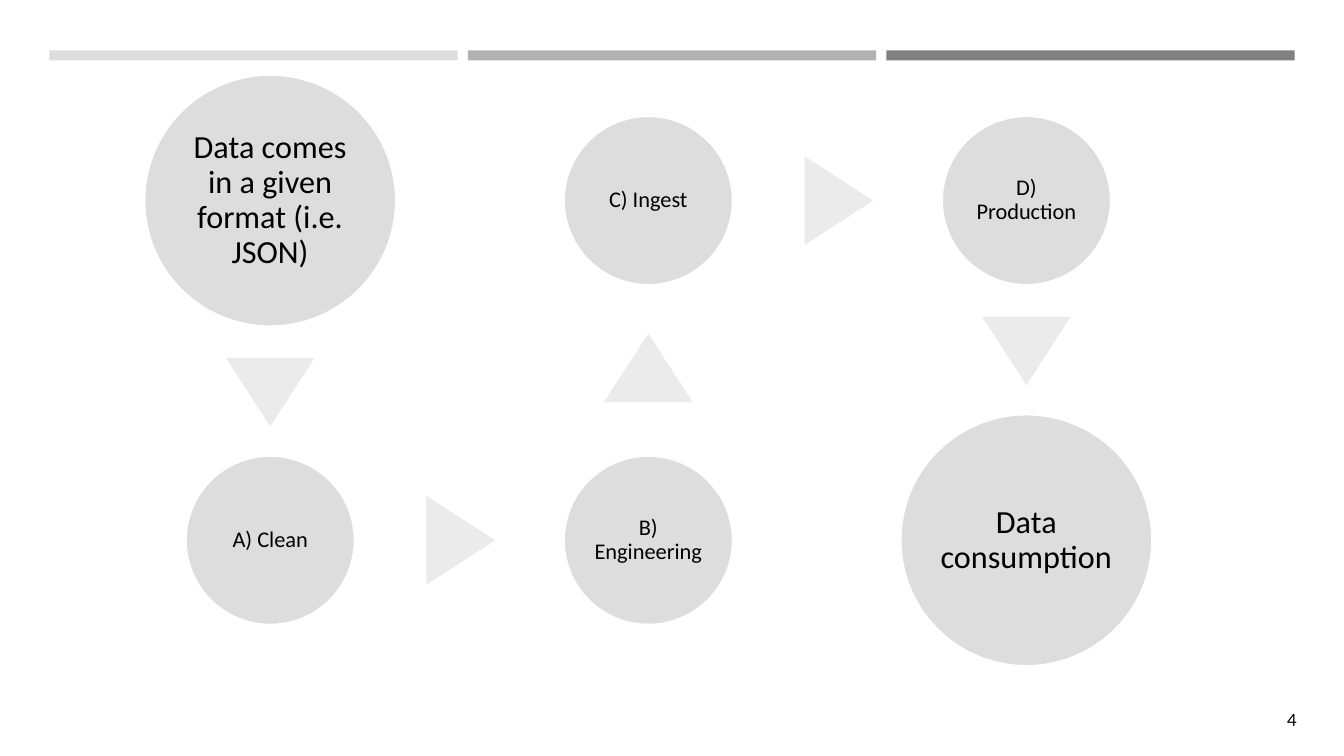
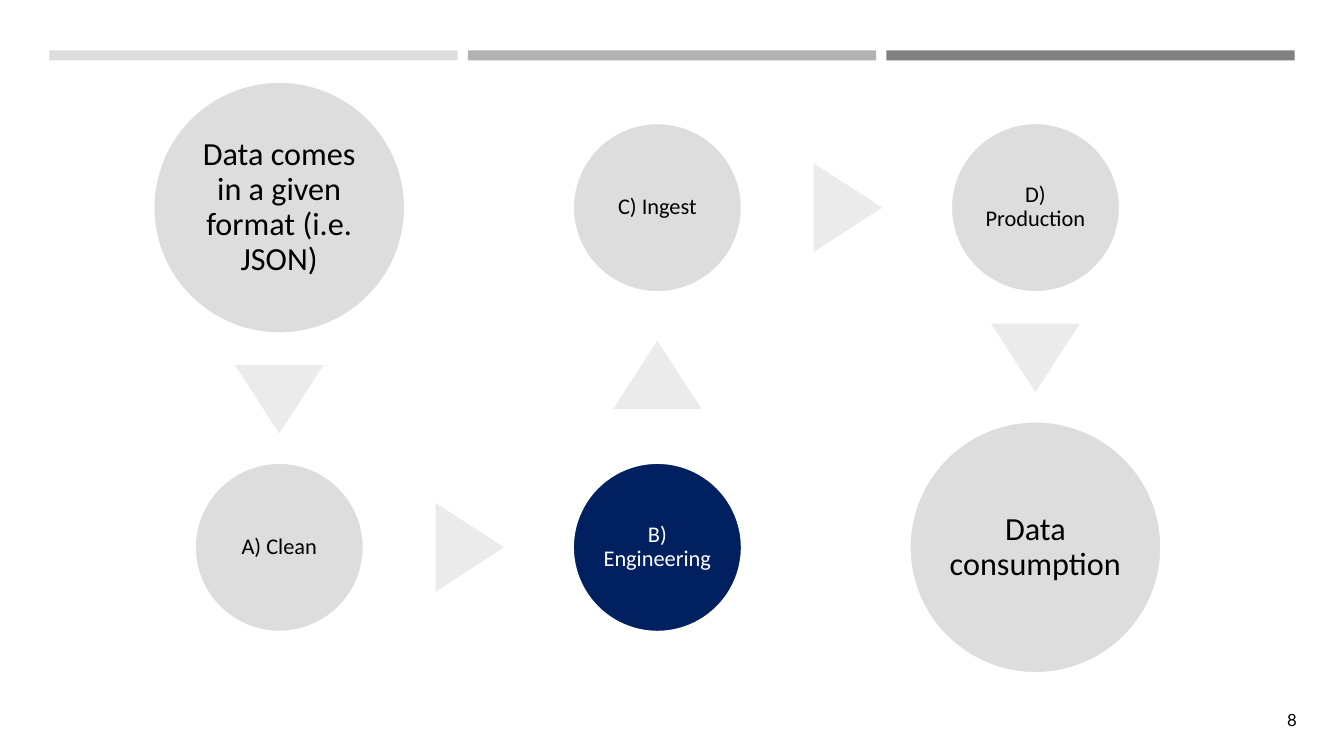
from typing import NamedTuple

from pptx import Presentation
from pptx.dml.color import RGBColor
from pptx.enum.shapes import MSO_SHAPE
from pptx.enum.text import MSO_ANCHOR, PP_ALIGN
from pptx.shapes.autoshape import Shape
from pptx.slide import Slide
from pptx.text.text import TextFrame
from pptx.util import Emu, Pt

EMU_PER_PX = 9144  # 100 px to the inch

BLACK = RGBColor(0x00, 0x00, 0x00)
WHITE = RGBColor(0xFF, 0xFF, 0xFF)
NAVY = RGBColor(0x00, 0x20, 0x60)
LIGHT_GREY = RGBColor(0xDD, 0xDD, 0xDD)
MID_GREY = RGBColor(0xB2, 0xB2, 0xB2)
DARK_GREY = RGBColor(0x80, 0x80, 0x80)
ARROW_GREY = RGBColor(0xEB, 0xEB, 0xEB)

BAND_LEFT, BAND_TOP, BAND_WIDTH, BAND_HEIGHT, BAND_PITCH = 49, 50, 405, 10, 415
BAND_COLORS = (LIGHT_GREY, MID_GREY, DARK_GREY)

COLUMN_PITCH, ROW_PITCH = 375, 337
ARROW_WIDTH, ARROW_HEIGHT, ARROW_SHIFT = 88, 68, 2


class StepSize(NamedTuple):
    diameter: int
    font_size: int
    inset: int


class Step(NamedTuple):
    label: str
    column: int
    row: int
    size: StepSize


class FlowSlide(NamedTuple):
    number: str
    left: int
    top: int
    active_step: str = ""


ENDPOINT = StepSize(250, 23, 3)
STAGE = StepSize(168, 16, 2)

STEPS = (
    Step("Data comes in a given format (i.e. JSON)", 0, 0, ENDPOINT),
    Step("A) Clean", 0, 1, STAGE),
    Step("B) Engineering", 1, 1, STAGE),
    Step("C) Ingest", 1, 0, STAGE),
    Step("D) Production", 2, 0, STAGE),
    Step("Data consumption", 2, 1, ENDPOINT),
)

# left and top give the centre of the first step
FLOW_SLIDES = (
    FlowSlide("4", 268, 199),
    FlowSlide("8", 277, 206, active_step="B) Engineering"),
)


def px(length: int) -> Emu:
    return Emu(length * EMU_PER_PX)


def add_filled(slide: Slide, kind: MSO_SHAPE, left: int, top: int,
               width: int, height: int, color: RGBColor) -> Shape:
    shape = slide.shapes.add_shape(kind, px(left), px(top), px(width), px(height))
    shape.shadow.inherit = False
    shape.fill.solid()
    shape.fill.fore_color.rgb = color
    shape.line.fill.background()
    return shape


def write(frame: TextFrame, text: str, font: str, size: int,
          color: RGBColor, align: PP_ALIGN) -> None:
    frame.word_wrap = True
    frame.vertical_anchor = MSO_ANCHOR.MIDDLE
    paragraph = frame.paragraphs[0]
    paragraph.alignment = align
    run = paragraph.add_run()
    run.text = text
    run.font.name = font
    run.font.size = Pt(size)
    run.font.color.rgb = color


def add_frame(slide: Slide, number: str) -> None:
    """Draw the top bands and the page number."""
    for index, color in enumerate(BAND_COLORS):
        add_filled(slide, MSO_SHAPE.RECTANGLE, BAND_LEFT + index * BAND_PITCH,
                   BAND_TOP, BAND_WIDTH, BAND_HEIGHT, color)
    page_number = slide.shapes.add_textbox(px(1235), px(694), px(61), px(40))
    write(page_number.text_frame, number, "Lato", 12, BLACK, PP_ALIGN.RIGHT)


def step_center(flow: FlowSlide, step: Step) -> tuple[int, int]:
    return flow.left + step.column * COLUMN_PITCH, flow.top + step.row * ROW_PITCH


def add_step(slide: Slide, flow: FlowSlide, step: Step) -> None:
    diameter, font_size, inset = step.size
    x, y = step_center(flow, step)
    active = step.label == flow.active_step
    circle = add_filled(slide, MSO_SHAPE.OVAL, x - diameter // 2, y - diameter // 2,
                        diameter, diameter, NAVY if active else LIGHT_GREY)
    circle.line.color.rgb = WHITE
    circle.line.width = Pt(1.75)
    frame = circle.text_frame
    frame.margin_left = frame.margin_right = px(inset)
    frame.margin_top = frame.margin_bottom = px(inset)
    write(frame, step.label, "Calibri", font_size,
          WHITE if active else BLACK, PP_ALIGN.CENTER)
    frame.paragraphs[0].line_spacing = 0.9


def add_arrow(slide: Slide, flow: FlowSlide, start: Step, end: Step) -> None:
    """Point a triangle from start to end, in the middle of the gap between them."""
    (x1, y1), (x2, y2) = step_center(flow, start), step_center(flow, end)
    step_x, step_y = end.column - start.column, end.row - start.row
    shift = (start.size.diameter - end.size.diameter) // 4 + ARROW_SHIFT
    x = (x1 + x2) // 2 + step_x * shift
    y = (y1 + y2) // 2 + step_y * shift
    arrow = add_filled(slide, MSO_SHAPE.ISOSCELES_TRIANGLE, x - ARROW_WIDTH // 2,
                       y - ARROW_HEIGHT // 2, ARROW_WIDTH, ARROW_HEIGHT, ARROW_GREY)
    arrow.rotation = 90 if step_x else 90 + 90 * step_y


def main() -> None:
    deck = Presentation()
    deck.slide_width, deck.slide_height = px(1333), px(750)
    blank_layout = deck.slide_layouts[6]
    for flow in FLOW_SLIDES:
        slide = deck.slides.add_slide(blank_layout)
        add_frame(slide, flow.number)
        for step in STEPS:
            add_step(slide, flow, step)
        for start, end in zip(STEPS, STEPS[1:]):
            add_arrow(slide, flow, start, end)
    deck.save("out.pptx")


if __name__ == "__main__":
    main()
